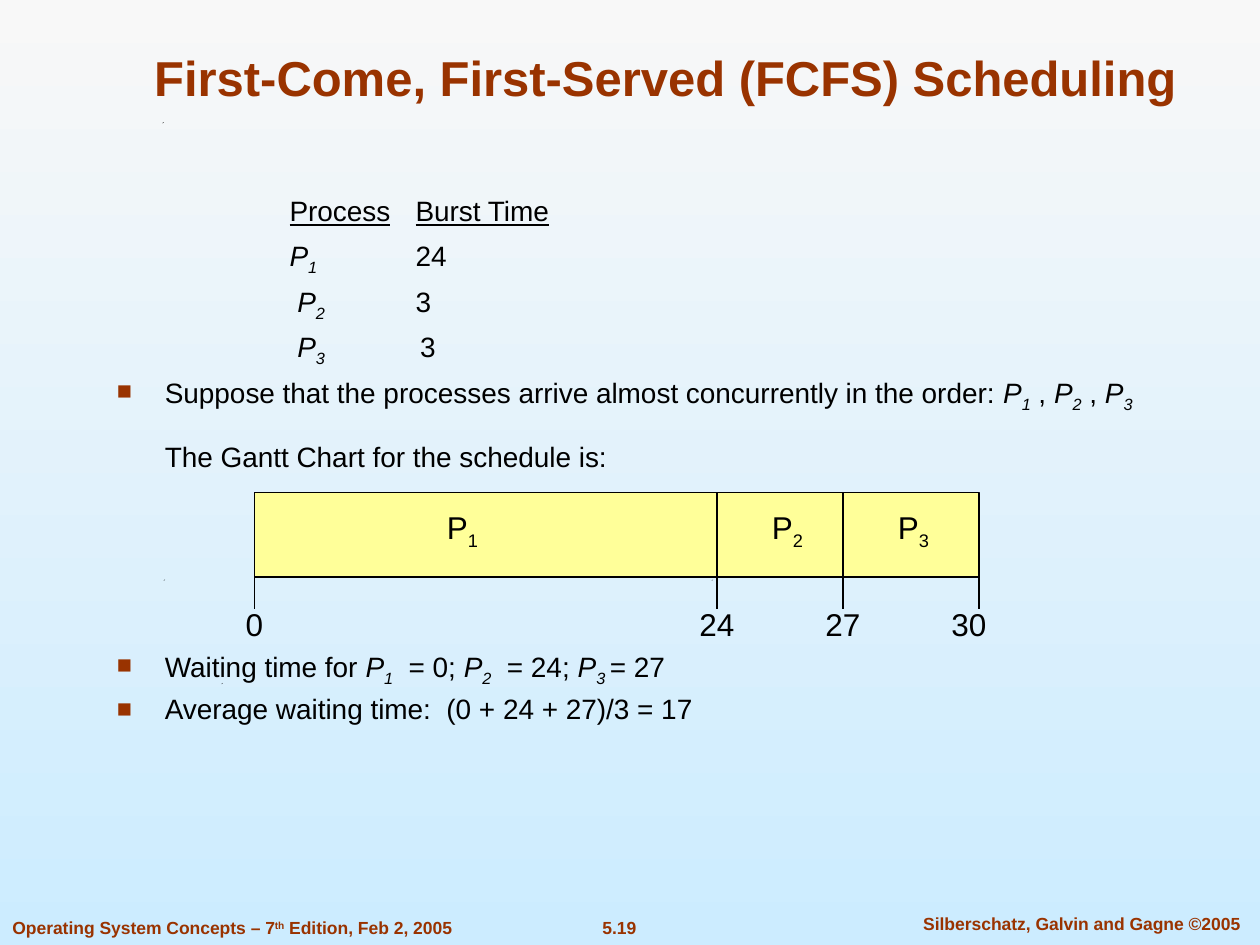
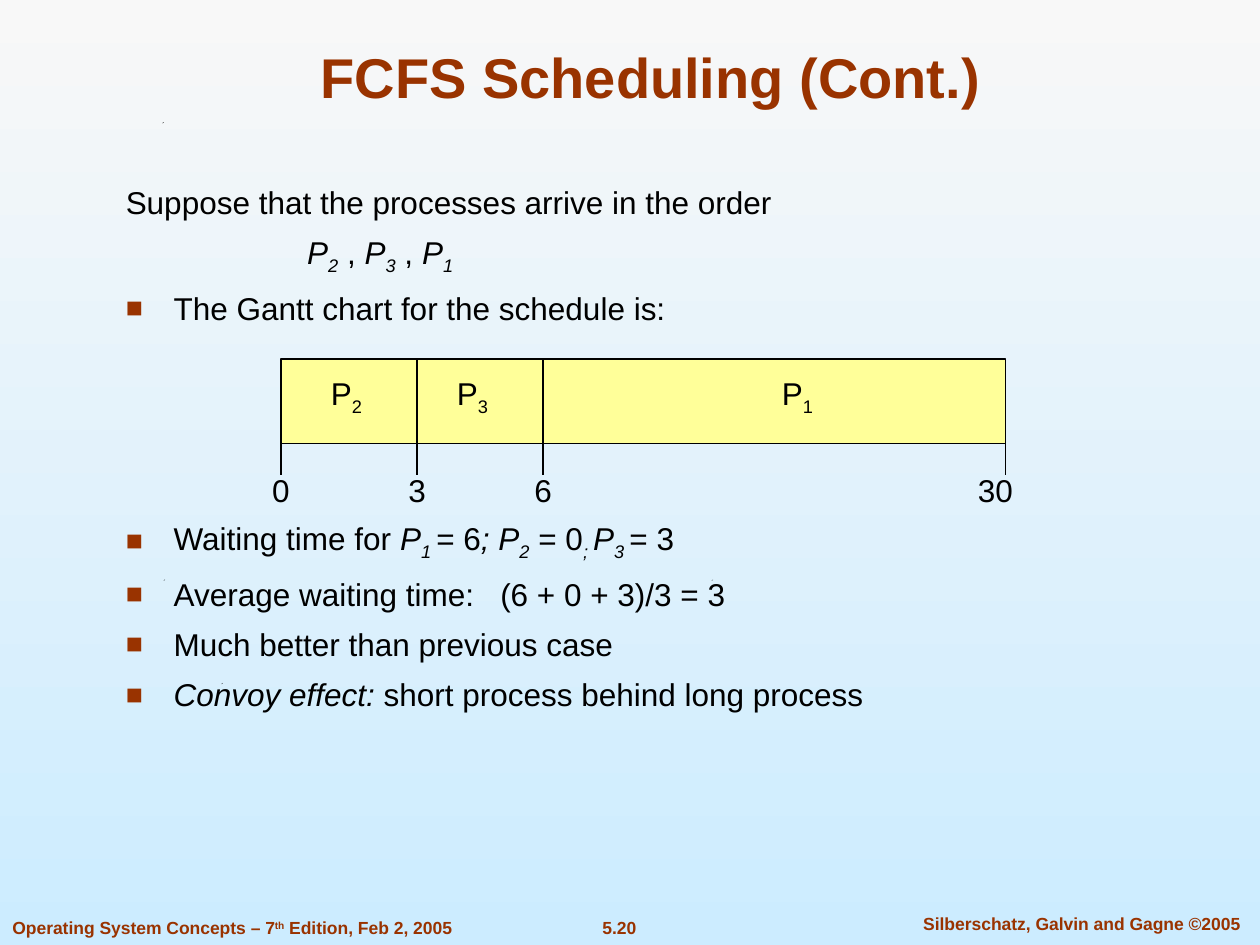
from dataclasses import dataclass

from lxml import etree
from pptx import Presentation
from pptx.dml import color
from pptx.enum import shapes, text
from pptx.oxml import ns
from pptx import util as u


@dataclass(frozen=True)
class Theme:
    font: str = "Arial"
    accent: str = "993300"
    ink: str = "000000"
    bar: str = "FFFF99"
    sky: tuple = ("F8F8F8", "CCECFF")
    footer_size: int = 10
    label_size: int = 18
    line_width: float = 0.75


COLUMNS, ROWS = 100, 75
WIDTH, HEIGHT = u.Inches(10), u.Inches(7.5)
INDENT, TABS = 3.8, (13.7, 23.7)
BAR_HEIGHT, TICK_HEIGHT = 6.7, 2.5
SPECKS = ((17.6, 54.2), (13.0, 46.0), (56.5, 46.0), (12.9, 9.7))
BURSTS = [(1, 36.7, 16.5), (2, 10, 42.3), (3, 10.8, 52.3)]
CHART_WIDTH = sum(width for _, width, _ in BURSTS)


def apply(target, values):
    for name, value in values.items():
        setattr(target, name, value)


def add_xml(parent, tag, **attributes):
    return etree.SubElement(parent, ns.qn(tag), attributes)


def across(columns):
    return round(WIDTH * columns / COLUMNS)


def down(rows):
    return round(HEIGHT * rows / ROWS)


def process(number, gap="", flags="i"):
    return [("P", flags), (f"{number}{gap}", flags + "s")]


class Deck:
    def __init__(self, theme):
        self.theme = theme
        self.presentation = Presentation()
        apply(self.presentation, {"slide_width": WIDTH, "slide_height": HEIGHT})
        self.slide = None

    def rgb(self, value):
        return color.RGBColor.from_string(value)

    def new_slide(self, number, title, size, place):
        layout = self.presentation.slide_layouts[6]
        self.slide = self.presentation.slides.add_slide(layout)
        fill = self.slide.background.fill
        fill.gradient()
        fill.gradient_angle = 270
        for stop, value in zip(fill.gradient_stops, self.theme.sky):
            stop.color.rgb = self.rgb(value)
        for column, row in SPECKS:
            self.speck(column, row)
        self.footer(number)
        self.label([(title, "b")], place, size, self.theme.accent, anchor="BOTTOM")

    def speck(self, column, row):
        left, top = across(column), down(row)
        side = across(0.1)
        builder = self.slide.shapes.build_freeform(left, top + side)
        builder.add_line_segments([(left + side, top), (left, top + side // 2)])
        shape = builder.convert_to_shape()
        self.paint(shape, self.theme.ink)
        shape.line.fill.background()

    def footer(self, number):
        book = [("Operating System Concepts – 7", "b"), ("th", "bt"),
                (" Edition, Feb 2, 2005", "b")]
        items = ((book, (0, 72.3, 37, 2.7), "LEFT"),
                 ([(number, "b")], (46.7, 72.3, 4.9, 2.7), "CENTER"),
                 ([("Silberschatz, Galvin and Gagne ©2005", "b")],
                  (71, 72, 29.7, 2.7), "CENTER"))
        for runs, place, align in items:
            self.label(runs, place, self.theme.footer_size, self.theme.accent, align, "TOP")

    def paint(self, shape, value):
        shape.shadow.inherit = False
        shape.fill.solid()
        shape.fill.fore_color.rgb = self.rgb(value)

    def frame(self, place, wrap, anchor):
        column, row, width, height = place
        box = self.slide.shapes.add_textbox(
            across(column), down(row), across(width), down(height))
        apply(box.text_frame, {"word_wrap": wrap,
                               "vertical_anchor": getattr(text.MSO_ANCHOR, anchor)})
        return box.text_frame

    def add_runs(self, paragraph, runs, size, value):
        for words, flags in runs:
            run = paragraph.add_run()
            run.text = words
            apply(run.font, {"name": self.theme.font, "size": u.Pt(size),
                             "bold": "b" in flags, "italic": "i" in flags,
                             "underline": "u" in flags})
            run.font.color.rgb = self.rgb(value)
            for flag, shift in (("s", "-25000"), ("t", "30000")):
                if flag in flags:
                    run._r.get_or_add_rPr().set("baseline", shift)

    def label(self, runs, place, size, value, align="CENTER", anchor="MIDDLE"):
        paragraph = self.frame(place, False, anchor).paragraphs[0]
        paragraph.alignment = getattr(text.PP_ALIGN, align)
        self.add_runs(paragraph, runs, size, value)

    def body(self, lines, place, size, spacing=1.0):
        frame = self.frame(place, True, "TOP")
        for index, (kind, runs) in enumerate(lines):
            paragraph = frame.add_paragraph() if index else frame.paragraphs[0]
            before = size * (1.17 if kind == "continued" else 0.4)
            apply(paragraph, {"line_spacing": spacing,
                              "space_before": u.Pt(before if index else 0)})
            properties = paragraph._p.get_or_add_pPr()
            if kind in ("bullet", "continued"):
                properties.set("marL", str(across(INDENT)))
                properties.set("indent", str(-across(INDENT) if kind == "bullet" else 0))
            if kind == "bullet":
                add_xml(add_xml(properties, "a:buClr"), "a:srgbClr", val=self.theme.accent)
                add_xml(properties, "a:buSzPct", val="90000")
                add_xml(properties, "a:buFont", typeface=self.theme.font)
                add_xml(properties, "a:buChar", char="■")
            if kind == "tabbed":
                tabs = add_xml(properties, "a:tabLst")
                for stop in TABS:
                    add_xml(tabs, "a:tab", pos=str(across(stop)), algn="l")
            self.add_runs(paragraph, runs, size, self.theme.ink)

    def line(self, column, top, bottom):
        connector = self.slide.shapes.add_connector(
            shapes.MSO_CONNECTOR.STRAIGHT,
            across(column), down(top), across(column), down(bottom))
        self.outline(connector)
        add_xml(connector._element.spPr, "a:effectLst")

    def outline(self, shape):
        shape.line.color.rgb = self.rgb(self.theme.ink)
        shape.line.width = u.Pt(self.theme.line_width)

    def gantt(self, left, top, bursts, times):
        theme = self.theme
        bottom = top + BAR_HEIGHT
        bar = self.slide.shapes.add_shape(
            shapes.MSO_SHAPE.RECTANGLE, across(left), down(top),
            across(CHART_WIDTH), down(BAR_HEIGHT))
        self.paint(bar, theme.bar)
        self.outline(bar)
        edges = [left]
        for number, width, centre in bursts:
            edges.append(edges[-1] + width)
            self.label(process(number, flags=""), (left + centre - 2.3, top + 0.9, 4.6, 4),
                       theme.label_size, theme.ink)
        for edge in edges[1:-1]:
            self.line(edge, top, bottom)
        for edge, time in zip(edges, times):
            self.line(edge, bottom, bottom + TICK_HEIGHT)
            nudge = 0.8 if edge == edges[-1] else 0
            self.label([(str(time), "")], (edge - nudge - 2.4, top + 8.4, 4.8, 4),
                       theme.label_size, theme.ink)


def first_come(deck):
    deck.new_slide("5.19", "First-Come, First-Served (FCFS) Scheduling", 28,
                   (7.2, 2.9, 91.2, 6))
    deck.body([
        ("tabbed", [("\t", ""), ("Process", "u"), ("\t", ""), ("Burst Time", "u")]),
        ("tabbed", [("\t", ""), *process(1), ("\t24", "")]),
        ("tabbed", [("\t ", ""), *process(2), ("\t3", "")]),
        ("tabbed", [("\t ", ""), *process(3, "\t "), ("3", "")]),
        ("bullet", [("Suppose that the processes arrive almost concurrently in the order: ", ""),
                    *process(1), (" , ", ""), *process(2), (" , ", ""), *process(3)]),
        ("continued", [("The Gantt Chart for the schedule is:", "")]),
    ], (8.3, 15.2, 84, 23), 16, 0.9)
    deck.gantt(20.2, 39.1, BURSTS, (0, 24, 27, 30))
    deck.body([
        ("bullet", [("Waiting time for ", ""), *process(1), ("  = 0; ", ""),
                    *process(2), ("  = 24; ", ""), *process(3, " "), ("= 27", "")]),
        ("bullet", [("Average waiting time:  (0 + 24 + 27)/3 = 17", "")]),
    ], (8.3, 51.1, 82.7, 8), 16, 0.9)


def continued(deck):
    deck.new_slide("5.20", "FCFS Scheduling (Cont.)", 32, (7.5, 2.5, 88.3, 6.7))
    deck.body([
        ("plain", [("Suppose that the processes arrive in the order", "")]),
        ("tabbed", [("\t ", ""), *process(2), (" , ", ""), *process(3),
                    (" , ", ""), *process(1)]),
        ("bullet", [("The Gantt chart for the schedule is:", "")]),
    ], (9, 14, 80.4, 13), 18)
    mirrored = [(number, width, CHART_WIDTH - centre) for number, width, centre in BURSTS]
    longest, second, third = mirrored
    swapped = [(second[0], third[1], third[2]), (third[0], second[1], second[2]), longest]
    deck.gantt(22.3, 28.5, swapped, (0, 3, 6, 30))
    deck.body([
        ("bullet", [("Waiting time for ", ""), *process(1, " "), ("= 6", ""), ("; ", "i"),
                    *process(2), (" = 0", ""), ("; ", "is"), *process(3, " "), ("= 3", "")]),
        ("bullet", [("Average waiting time:   (6 + 0 + 3)/3 = 3", "")]),
        ("bullet", [("Much better than previous case", "")]),
        ("bullet", [("Convoy effect:", "i"), (" short process behind long process", "")]),
    ], (9, 40.7, 80.4, 18), 18)


def main():
    deck = Deck(Theme())
    first_come(deck)
    continued(deck)
    deck.presentation.save("out.pptx")


if __name__ == "__main__":
    main()
